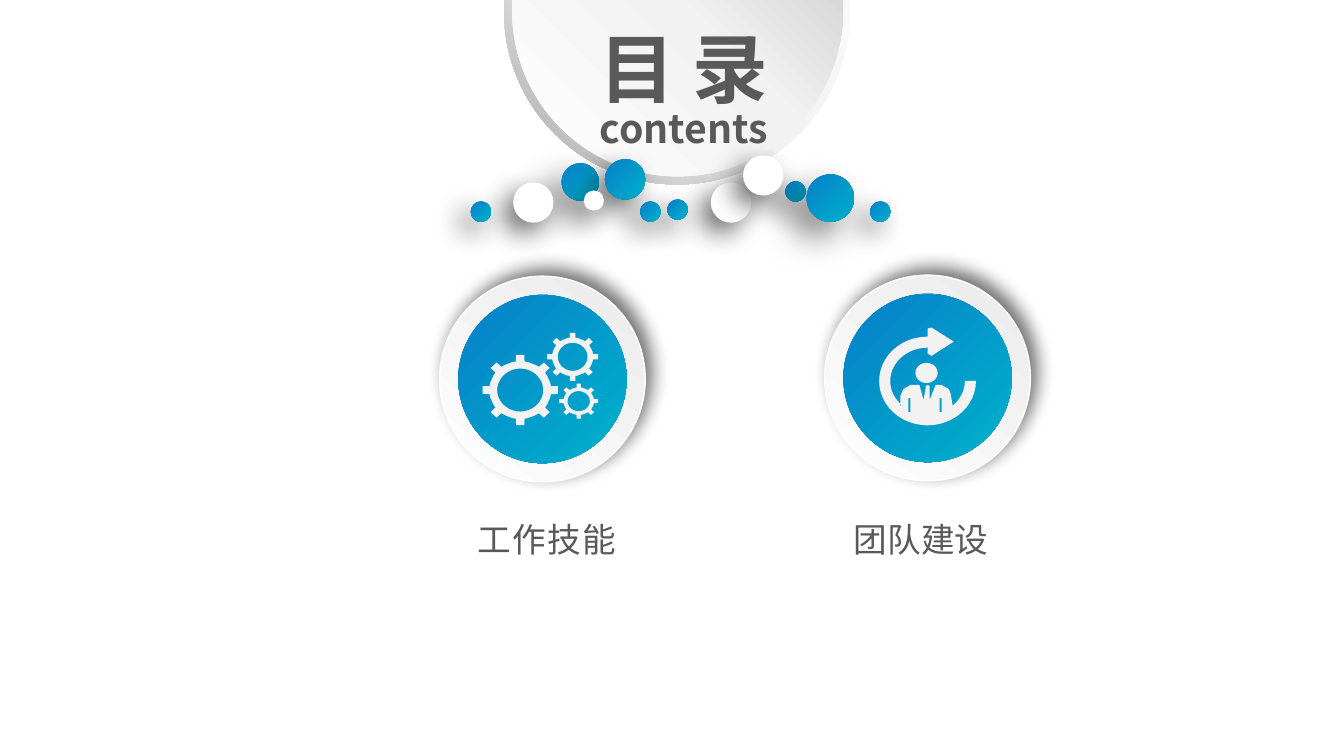
from math import cos, sin, radians, pi
from lxml import etree
from pptx import Presentation
from pptx.dml.color import RGBColor
from pptx.enum.shapes import MSO_SHAPE as Shape
from pptx.enum.text import MSO_ANCHOR as Anchor, MSO_AUTO_SIZE as Auto, PP_ALIGN as Align
from pptx.oxml import parse_xml
from pptx.oxml.ns import nsdecls, qn
from pptx.util import Inches, Pt

FONT = "Noto Sans CJK SC"
COLORS = {
    "white": "FFFFFF", "light": "F2F2F2", "mid": "BFBFBF", "dark": "A6A6A6",
    "rim": "EBEBEB", "pale": "FEFEFE", "blue": "067FC9", "teal": "00B2CA",
    "text": "595959", "black": "000000",
}
BLUE = ([(0, "blue"), (100, "teal")], 45)
RIM = ([(0, "rim"), (100, "pale")], 126)
RING = ([(0, "white"), (55, "light"), (100, "dark")], 135)
DISC = ([(0, "white"), (51, "light"), (100, "mid")], 315)
SOFT = (60, 20, 10, 135)
WIDE = (50, 25, 15, 135)
LIFT = (55, 13, 7, 310)

DOTS = [
    (7.05, 1.81, 0.4, "white", SOFT), (6.62, 1.98, 0.2, BLUE, SOFT),
    (7.79, 1.8, 0.2, BLUE, SOFT), (5.57, 1.62, 0.37, BLUE, WIDE),
    (6, 1.58, 0.4, BLUE, SOFT), (6.35, 2, 0.2, BLUE, SOFT),
    (8, 1.73, 0.47, BLUE, WIDE), (5.09, 1.81, 0.4, "white", SOFT),
    (4.67, 2, 0.2, BLUE, SOFT), (7.37, 1.54, 0.4, "white", SOFT),
    (5.79, 1.89, 0.2, "white", SOFT), (8.63, 2, 0.2, BLUE, SOFT),
]
GEARS = [
    (5.16, 3.87, 0.375, 0.35, 0.82, 0.61),
    (5.68, 3.54, 0.255, 0.24, 0.8, 0.58),
    (5.74, 3.98, 0.195, 0.175, 0.78, 0.57),
]
ARROW = [(9.2, 3.26), (9.24, 3.25), (9.46, 3.39), (9.24, 3.53), (9.2, 3.51)]
BODY = [
    (8.93, 4.03), (8.93, 3.93), (8.96, 3.86), (9.03, 3.82), (9.12, 3.82),
    (9.16, 3.97), (9.18, 3.86), (9.18, 3.83), (9.2, 3.82), (9.22, 3.83),
    (9.22, 3.97), (9.28, 3.82), (9.34, 3.82), (9.41, 3.86), (9.43, 3.91),
    (9.45, 4.03),
]


def rgb(name):
    return RGBColor.from_string(COLORS[name])


def paint(shape, fill):
    if isinstance(fill, str):
        shape.fill.solid()
        shape.fill.fore_color.rgb = rgb(fill)
        return
    stops, angle = fill
    marks = "".join(
        f'<a:gs pos="{pos * 1000}"><a:srgbClr val="{COLORS[name]}"/></a:gs>'
        for pos, name in stops)
    grad = parse_xml(
        f'<a:gradFill {nsdecls("a")} rotWithShape="1"><a:gsLst>{marks}</a:gsLst>'
        f'<a:lin ang="{angle * 60000}" scaled="0"/></a:gradFill>')
    shape.fill.background()
    props = shape._element.spPr
    props.replace(props.find(qn("a:noFill")), grad)


def shade(shape, cast):
    alpha, blur, dist, angle = cast
    effects = shape._element.spPr.find(qn("a:effectLst"))
    outer = etree.SubElement(
        effects, qn("a:outerShdw"), blurRad=str(Pt(blur)), dist=str(Pt(dist)),
        dir=str(angle * 60000), algn="ctr", rotWithShape="0")
    color = etree.SubElement(outer, qn("a:srgbClr"), val=COLORS["black"])
    etree.SubElement(color, qn("a:alpha"), val=str(alpha * 1000))


def add_round(shapes, left, top, size, fill, cast=None, kind=Shape.OVAL):
    shape = shapes.add_shape(kind, Inches(left), Inches(top), Inches(size), Inches(size))
    shape.shadow.inherit = False
    paint(shape, fill)
    shape.line.fill.background()
    if cast:
        shade(shape, cast)
    return shape


def add_text(shapes, box, text, size, bold=False, wrap=True, grow=True, gap=0):
    shape = shapes.add_textbox(*map(Inches, box))
    frame = shape.text_frame
    frame.text = text
    frame.word_wrap = wrap
    frame.auto_size = Auto.SHAPE_TO_FIT_TEXT if grow else Auto.NONE
    frame.vertical_anchor = Anchor.TOP if grow else Anchor.MIDDLE
    par = frame.paragraphs[0]
    par.alignment = Align.CENTER
    run = par.runs[0]
    run.font.size = Pt(size)
    run.font.bold = bold
    run.font.name = FONT
    run.font.color.rgb = rgb("text")
    props = run._r.get_or_add_rPr()
    etree.SubElement(props, qn("a:ea"), typeface=FONT)
    if gap:
        props.set("spc", str(gap * 100))


def arc(x, y, wide, high, start, end, steps=36):
    turns = [radians(start + (end - start) * i / steps) for i in range(steps + 1)]
    return [(x + wide * cos(t), y + high * sin(t)) for t in turns]


def gear(x, y, wide, high, root, hole):
    edge = []
    for tooth in range(8):
        mid = tooth * pi / 4
        for turn, reach in ((-0.26, root), (-0.14, root), (-0.11, 1),
                            (0.11, 1), (0.14, root), (0.26, root)):
            edge.append((x + wide * reach * cos(mid + turn),
                         y + high * reach * sin(mid + turn)))
    return [edge, arc(x, y, wide * hole, high * hole, 360, 0)]


def slit(x):
    return [(x, 3.95), (x, 4.09), (x + 0.02, 4.09), (x + 0.02, 3.95)]


def person():
    outer = arc(9.2, 3.78, 0.48, 0.44, 0, 270)
    left = arc(9.2, 3.78, 0.37, 0.33, 270, 134)
    right = arc(9.2, 3.78, 0.37, 0.33, 46, 0)
    head = arc(9.19, 3.7, 0.11, 0.1, 0, 360)
    return [outer + ARROW + left + BODY + right, head, slit(9.01), slit(9.32)]


def add_icon(shapes, loops):
    loops = [[(Inches(x), Inches(y)) for x, y in loop] for loop in loops]
    pen = shapes.build_freeform(*loops[0][0])
    for i, loop in enumerate(loops):
        if i:
            pen.move_to(*loop[0])
        pen.add_line_segments(loop[1:], close=True)
    icon = pen.convert_to_shape()
    icon.shadow.inherit = False
    paint(icon, "light")
    icon.line.fill.background()


def add_badge(slide, left, top, loops):
    shapes = slide.shapes.add_group_shape().shapes
    rim = add_round(shapes, left, top, 2.04, RIM, LIFT)
    rim.line.color.rgb = rgb("white")
    rim.line.width = Pt(1)
    add_round(shapes, left + 0.185, top + 0.185, 1.67, BLUE)
    add_icon(shapes, loops)


def main():
    deck = Presentation()
    deck.slide_width, deck.slide_height = Inches(13.33), Inches(7.5)
    slide = deck.slides.add_slide(deck.slide_layouts[6])
    shapes = slide.shapes
    add_text(shapes, (8.37, 5.1, 1.53, 0.5), "团队建设", 24, wrap=False)
    add_text(shapes, (4.63, 5.1, 1.59, 0.5), "工作技能", 24, wrap=False, gap=1)
    dial = shapes.add_group_shape().shapes
    ring = add_round(dial, 5, -1.6, 3.43, RING, kind=Shape.DONUT)
    ring.adjustments[0] = 0.049
    add_round(dial, 5.08, -1.53, 3.28, DISC)
    for dot in DOTS:
        add_round(shapes, *dot)
    add_text(shapes, (5.53, 0.17, 2.51, 1.01), "目 录", 54, bold=True)
    add_text(shapes, (5.78, 0.99, 2, 0.56), "contents", 28, bold=True, grow=False)
    add_badge(slide, 4.36, 2.74, [loop for item in GEARS for loop in gear(*item)])
    add_badge(slide, 8.18, 2.73, person())
    deck.save("out.pptx")


if __name__ == "__main__":
    main()
